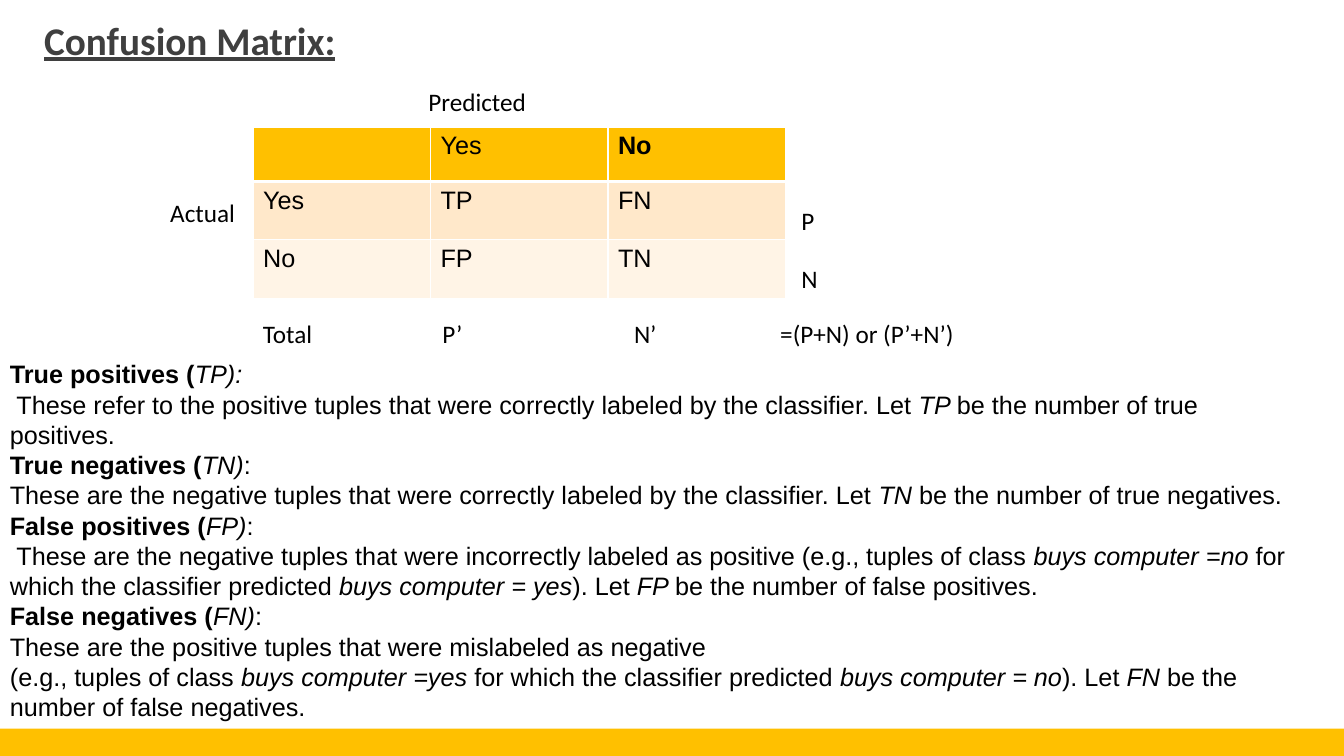
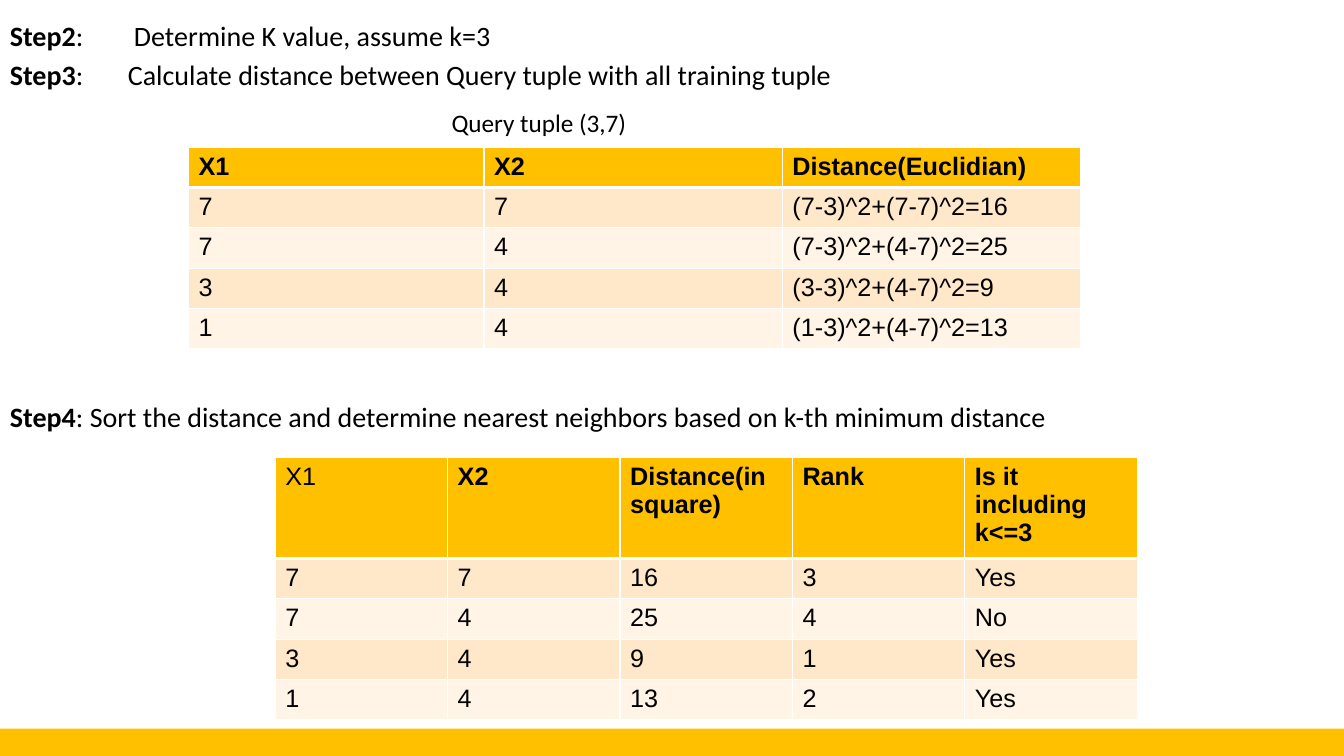
from pptx import Presentation
from pptx.dml.color import RGBColor
from pptx.enum.shapes import MSO_SHAPE
from pptx.enum.text import MSO_ANCHOR, PP_ALIGN
from pptx.oxml.ns import qn
from pptx.util import Inches, Pt
from lxml.etree import SubElement

COLORS = {
    "gold": "FFC000",
    "band_dark": "FFE8CA",
    "band_light": "FFF4E6",
    "white": "FFFFFF",
    "title": "3F3F3F",
    "text": "000000",
}


def rgb(name):
    return RGBColor.from_string(COLORS[name])


class Deck:
    def __init__(self):
        self.prs = Presentation()
        self.prs.slide_width = Inches(13.33)
        self.prs.slide_height = Inches(7.5)
        self.s = None

    def slide(self):
        self.s = self.prs.slides.add_slide(self.prs.slide_layouts[6])
        sp = self.s.shapes.add_shape(
            MSO_SHAPE.RECTANGLE, 0, Inches(7.23), self.prs.slide_width, Inches(0.27))
        sp.shadow.inherit = False
        sp.fill.solid()
        sp.fill.fore_color.rgb = rgb("gold")
        sp.line.fill.background()

    def run(self, p, text, style="", size=18, font="Calibri", color="text"):
        r = p.add_run()
        r.text = text
        r.font.size = Pt(size)
        r.font.name = font
        r.font.color.rgb = rgb(color)
        r.font.bold = "b" in style
        r.font.italic = "i" in style
        r.font.underline = "u" in style

    def box(self, x, y, w, h):
        tf = self.s.shapes.add_textbox(Inches(x), Inches(y), Inches(w), Inches(h)).text_frame
        tf.word_wrap = True
        return tf

    def title(self, text):
        tf = self.box(0.34, 0.08, 9.14, 0.63)
        tf.vertical_anchor = MSO_ANCHOR.MIDDLE
        self.run(tf.paragraphs[0], text, "bu", 28, color="title")

    def label(self, x, y, w, text):
        self.run(self.box(x, y, w, 0.4).paragraphs[0], text)

    def text(self, x, y, w, h, paragraphs, size=18, font="Calibri"):
        tf = self.box(x, y, w, h)
        for i, runs in enumerate(paragraphs):
            p = tf.add_paragraph() if i else tf.paragraphs[0]
            for text, style in runs:
                self.run(p, text, style, size, font)
        return tf

    def steps(self, y, w, steps):
        runs = [[(name, "b"), (":" + gap + text, "")] for name, gap, text, _ in steps]
        tf = self.text(0, y, w, 0.44 * len(steps), runs, 20)
        for i, (p, step) in enumerate(zip(tf.paragraphs, steps)):
            p.alignment = PP_ALIGN.LEFT
            p.space_before = Pt(4 if i else 0)
            pPr = p._p.get_or_add_pPr()
            pPr.set("marL", str(Inches(step[3])))
            pPr.set("indent", str(-Inches(step[3])))

    def borders(self, cell, top, bottom):
        tcPr = cell._tc.get_or_add_tcPr()
        for side, width in (("L", 1), ("R", 1), ("T", top), ("B", bottom)):
            ln = SubElement(tcPr, qn("a:ln" + side), w=str(Pt(width)))
            fill = SubElement(ln, qn("a:solidFill"))
            SubElement(fill, qn("a:srgbClr"), val=COLORS["white"])

    def table(self, x, y, widths, heights, rows, plain_heads=()):
        tbl = self.s.shapes.add_table(
            len(rows), len(widths), Inches(x), Inches(y),
            Inches(sum(widths)), Inches(sum(heights))).table
        tbl.first_row = tbl.horz_banding = False
        for col, w in zip(tbl.columns, widths):
            col.width = Inches(w)
        for i, (row, h) in enumerate(zip(rows, heights)):
            tbl.rows[i].height = Inches(h)
            band = "gold" if i == 0 else "band_dark" if i % 2 else "band_light"
            for j, text in enumerate(row):
                cell = tbl.cell(i, j)
                self.borders(cell, 3 if i == 1 else 1, 1 if i else 3)
                cell.fill.solid()
                cell.fill.fore_color.rgb = rgb(band)
                if text:
                    style = "b" if i == 0 and j not in plain_heads else ""
                    self.run(cell.text_frame.paragraphs[0], text, style, font="Arial")


def confusion_matrix(d):
    d.slide()
    d.title("Confusion Matrix:")
    d.table(2.51, 1.26, [1.76] * 3, [0.54, 0.58, 0.58], [
        ["", "Yes", "No"],
        ["Yes", "TP", "FN"],
        ["No", "FP", "TN"],
    ], plain_heads=(1,))
    for x, y, w, text in [
        (1.59, 1.91, 0.97, "Actual"),
        (4.15, 0.81, 2.55, "Predicted"),
        (7.85, 1.99, 0.97, "P"),
        (7.85, 2.56, 0.77, "N"),
        (2.51, 3.11, 1.2, "Total"),
        (4.29, 3.11, 0.8, "P’"),
        (6.19, 3.11, 0.8, "N’"),
        (7.64, 3.11, 2.36, "=(P+N) or (P’+N’)"),
    ]:
        d.label(x, y, w, text)
    d.text(0, 3.51, 13, 3.43, [
        [("True positives (", "b"), ("TP):", "i")],
        [(" These refer to the positive tuples that were correctly labeled by the classifier. Let ", ""),
         ("TP ", "i"), ("be the number of true positives.", "")],
        [("True negatives (", "b"), ("TN)", "i"), (":", "")],
        [("These are the negative tuples that were correctly labeled by the classifier. Let ", ""),
         ("TN ", "i"), ("be the number of true negatives.", "")],
        [("False positives (", "b"), ("FP)", "i"), (":", "")],
        [(" These are the negative tuples that were incorrectly labeled as positive "
          "(e.g., tuples of class ", ""),
         ("buys computer =no ", "i"), ("for which the classifier predicted ", ""),
         ("buys computer = yes", "i"), ("). Let ", ""), ("FP ", "i"),
         ("be the number of false positives.", "")],
        [("False negatives (", "b"), ("FN)", "i"), (":", "")],
        [("These are the positive tuples that were mislabeled as negative", "")],
        [("(e.g., tuples of class ", ""), ("buys computer =yes ", "i"),
         ("for which the classifier predicted ", ""), ("buys computer = no", "i"),
         ("). Let ", ""), ("FN ", "i"), ("be the number of false negatives.", "")],
    ], font="Arial")


def nearest_neighbors(d):
    d.slide()
    d.steps(0.13, 12.6, [
        ("Step2", "\t", "Determine K value, assume k=3", 1.23),
        ("Step3", "\t", "Calculate distance between Query tuple with all training tuple", 1.17),
    ])
    d.label(4.38, 1.02, 4.78, "Query tuple (3,7)")
    d.table(1.87, 1.46, [2.93, 2.96, 2.96], [0.4] * 5, [
        ["X1", "X2", "Distance(Euclidian)"],
        ["7", "7", "(7-3)^2+(7-7)^2=16"],
        ["7", "4", "(7-3)^2+(4-7)^2=25"],
        ["3", "4", "(3-3)^2+(4-7)^2=9"],
        ["1", "4", "(1-3)^2+(4-7)^2=13"],
    ])
    d.steps(3.91, 10.95, [
        ("Step4", " ", "Sort the distance and determine nearest neighbors "
         "based on k-th minimum distance", 0),
    ])
    d.table(2.73, 4.54, [1.71] * 5, [0.99] + [0.4] * 4, [
        ["X1", "X2", "Distance(in square)", "Rank", "Is it including k<=3"],
        ["7", "7", "16", "3", "Yes"],
        ["7", "4", "25", "4", "No"],
        ["3", "4", "9", "1", "Yes"],
        ["1", "4", "13", "2", "Yes"],
    ], plain_heads=(0,))


def main():
    d = Deck()
    confusion_matrix(d)
    nearest_neighbors(d)
    d.prs.save("out.pptx")


if __name__ == "__main__":
    main()
